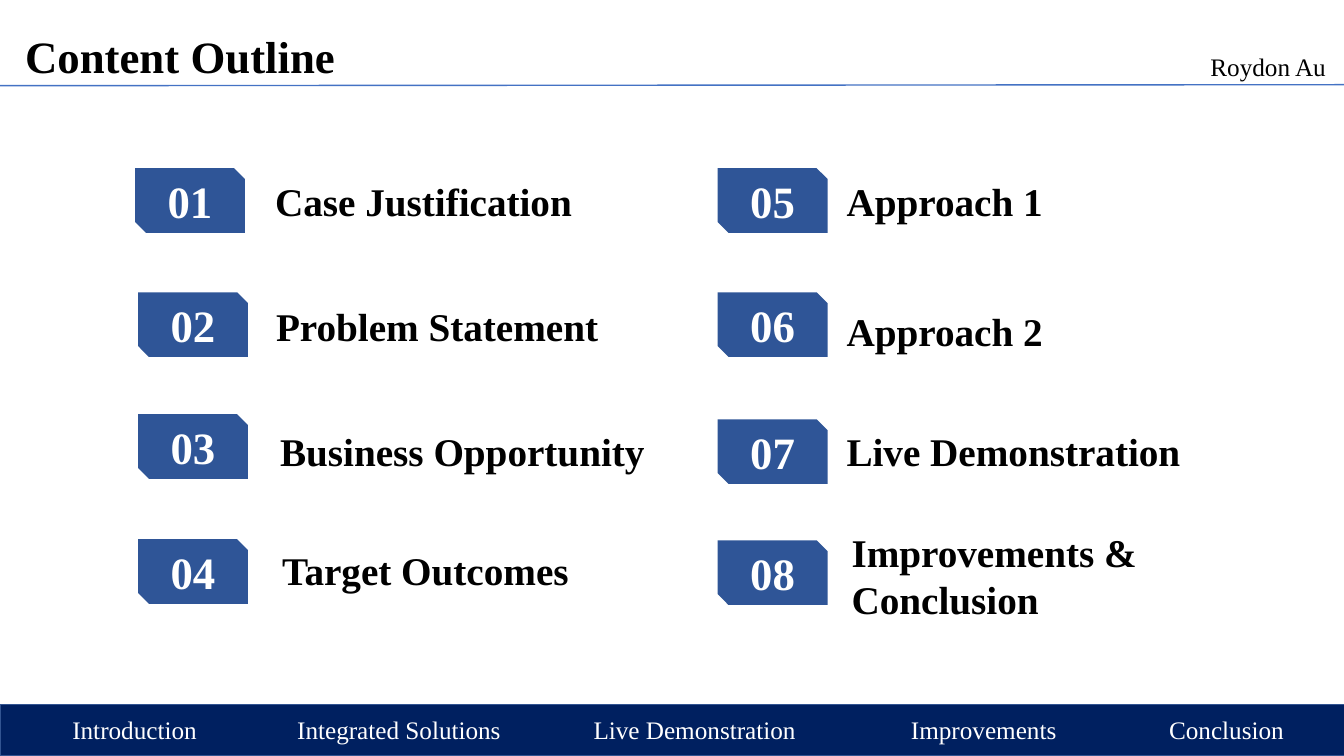
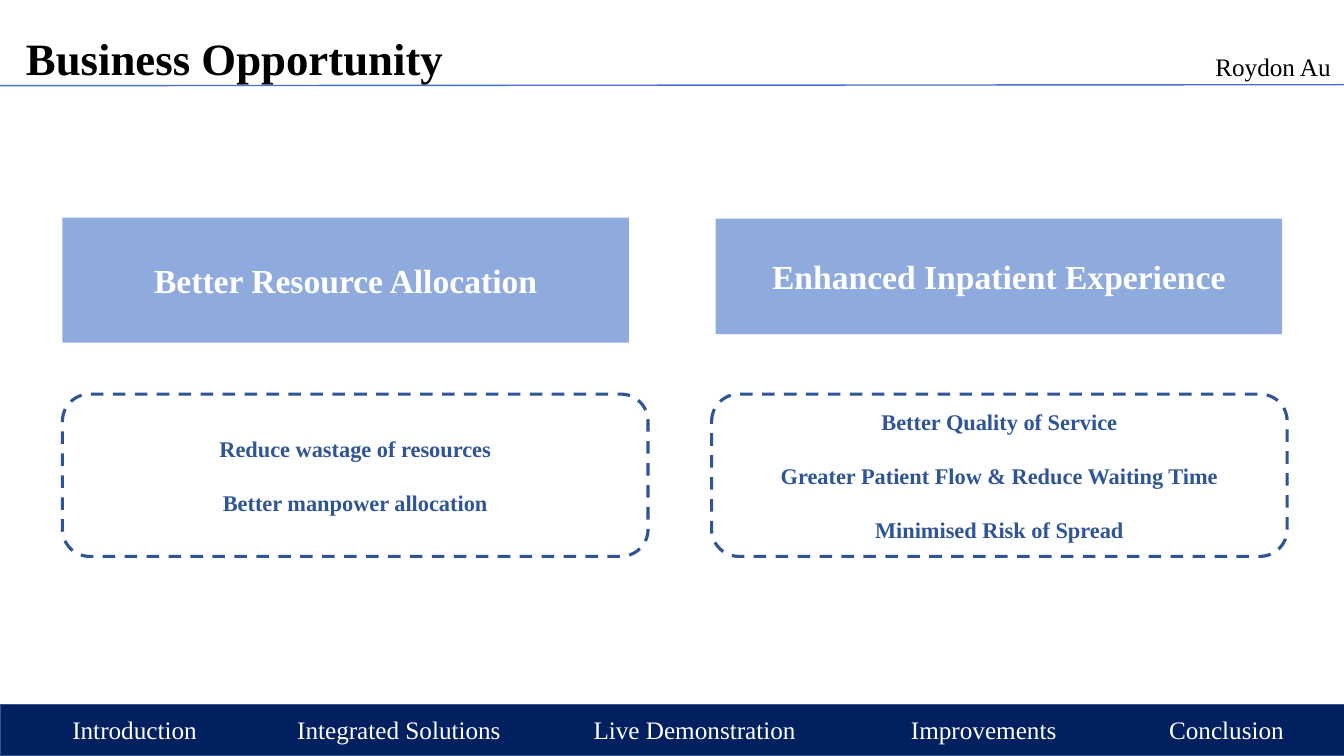
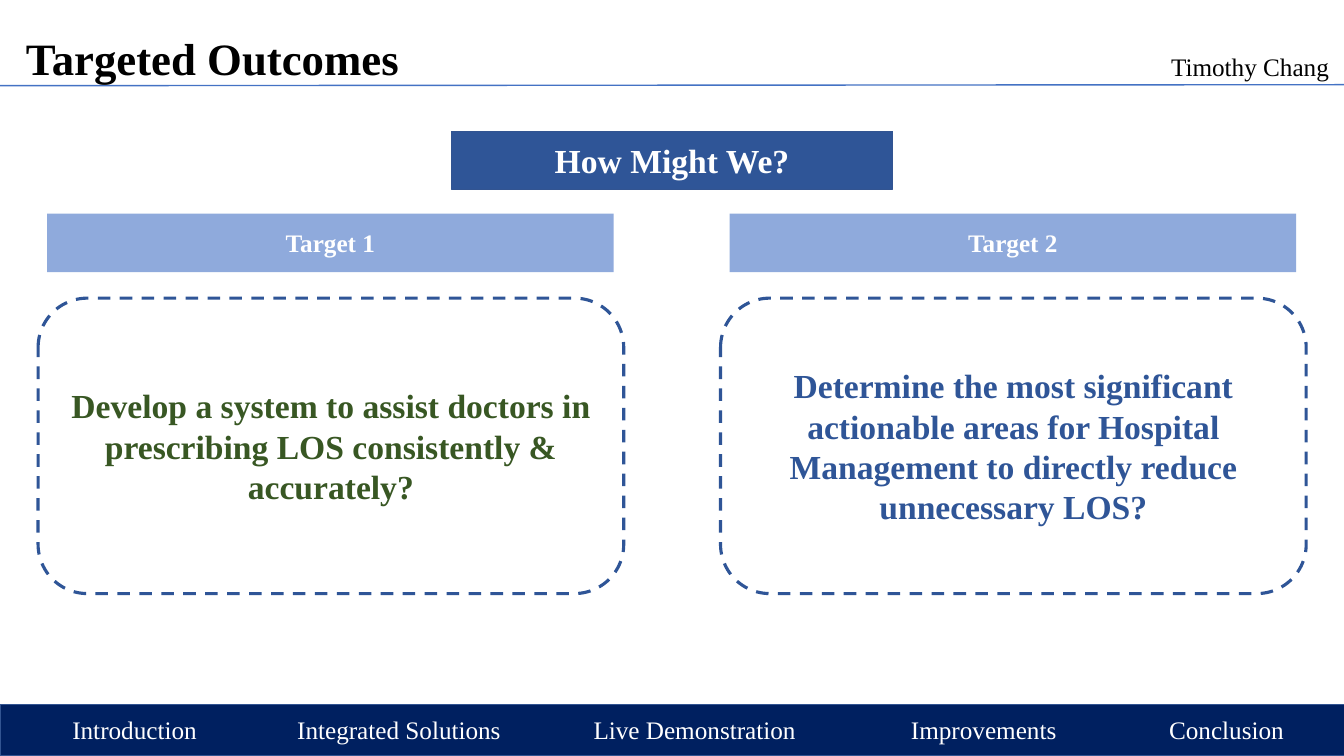
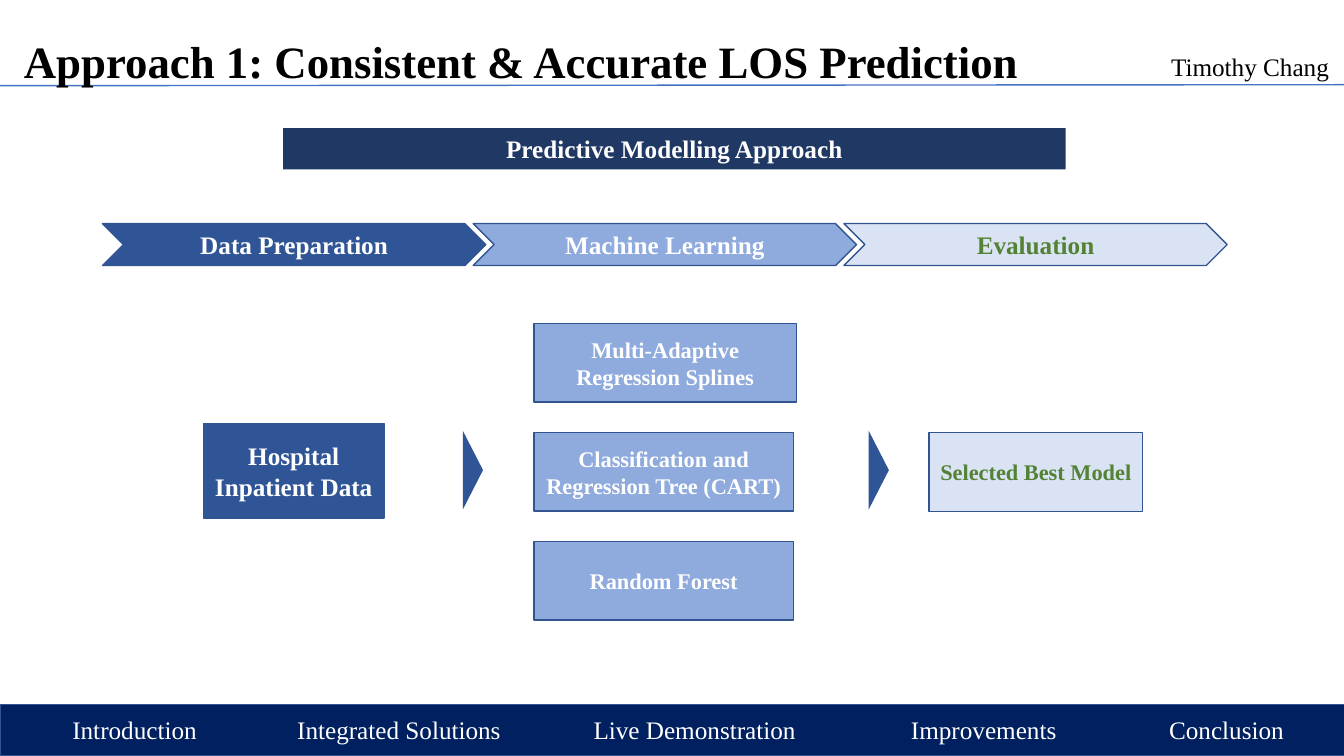
from dataclasses import dataclass
from typing import NamedTuple, Optional

from pptx import Presentation
from pptx.dml.color import RGBColor
from pptx.enum.dml import MSO_LINE_DASH_STYLE as Dash
from pptx.enum.shapes import MSO_CONNECTOR as Connector, MSO_SHAPE as Shape
from pptx.enum.text import MSO_ANCHOR as Anchor, PP_ALIGN as Align
from pptx.oxml.ns import qn
from pptx.util import Pt

# Shared look
WHITE = RGBColor(0xFF, 0xFF, 0xFF)
BLACK = RGBColor(0x00, 0x00, 0x00)
NAVY = RGBColor(0x00, 0x20, 0x60)
DEEP = RGBColor(0x20, 0x38, 0x64)
BLUE = RGBColor(0x2F, 0x55, 0x97)
EDGE = RGBColor(0x32, 0x54, 0x91)
RULE = RGBColor(0x44, 0x72, 0xC4)
SKY = RGBColor(0x8F, 0xAA, 0xDC)
PALE = RGBColor(0xDA, 0xE3, 0xF3)
GREEN = RGBColor(0x54, 0x82, 0x35)
DARK_GREEN = RGBColor(0x38, 0x57, 0x23)
FONT = "Times New Roman"
WIDTH, HEIGHT = 960, 540


class Box(NamedTuple):
    """Left, top, width and height in points."""
    x: float
    y: float
    w: float
    h: float

    def pt(self) -> list:
        return [Pt(v) for v in self]


@dataclass
class Style:
    size: float = 18
    color: RGBColor = WHITE
    bold: bool = True
    align: Align = Align.CENTER
    anchor: Anchor = Anchor.MIDDLE
    spacing: float = 1.0
    gap: float = 0
    inset: float = 3.6


@dataclass
class Block:
    box: Box
    text: str
    fill: RGBColor
    style: Style
    kind: Shape = Shape.RECTANGLE
    line: Optional[RGBColor] = None
    width: float = 1
    dash: Optional[Dash] = None
    rotation: float = 0


class Entry(NamedTuple):
    """Outline entry with the corners of its badge and its label."""
    label: str
    badge_x: float
    badge_y: float
    label_x: float
    label_y: float
    label_w: float


class NavItem(NamedTuple):
    text: str
    x: float
    width: float


TITLE = Style(32, BLACK, align=Align.LEFT, spacing=0.9)
SPEAKER = Style(18, BLACK, False, Align.LEFT, Anchor.TOP)
NAV = Style(18, WHITE, False, Align.LEFT, Anchor.TOP)
LABEL = Style(28, BLACK, align=Align.LEFT, anchor=Anchor.TOP, inset=7.2)
BADGE = Style(32, inset=7.2)
HEADING = Style(24)
CAPTION = Style(18)
SMALL = Style(16)
POINTS = Style(16, BLUE, gap=19.3)

NAV_ITEMS = [NavItem("Introduction", 44.6, 119),
             NavItem("Integrated Solutions", 205.2, 164),
             NavItem("Live Demonstration", 416.9, 163),
             NavItem("Improvements", 643.6, 132),
             NavItem("Conclusion", 828, 132)]


# Drawing helpers
def write(shape, text: str, style: Style) -> None:
    tf = shape.text_frame
    frame = {"word_wrap": True, "vertical_anchor": style.anchor,
             "margin_left": Pt(7.2), "margin_right": Pt(7.2),
             "margin_top": Pt(style.inset), "margin_bottom": Pt(style.inset)}
    for key, value in frame.items():
        setattr(tf, key, value)
    for i, part in enumerate(text.split("\n")):
        p = tf.add_paragraph() if i else tf.paragraphs[0]
        p.alignment = style.align
        p.line_spacing = style.spacing
        if i:
            p.space_before = Pt(style.gap)
        r = p.add_run()
        r.text = part
        font = {"name": FONT, "size": Pt(style.size), "bold": style.bold}
        for key, value in font.items():
            setattr(r.font, key, value)
        r.font.color.rgb = style.color


def add_text(s, box: Box, text: str, style: Style) -> None:
    write(s.shapes.add_textbox(*box.pt()), text, style)


def add_block(s, block: Block) -> None:
    sp = s.shapes.add_shape(block.kind, *block.box.pt())
    sp.shadow.inherit = False
    sp.rotation = block.rotation
    sp.fill.solid()
    sp.fill.fore_color.rgb = block.fill
    if block.line is None:
        sp.line.fill.background()
    else:
        sp.line.color.rgb = block.line
        sp.line.width = Pt(block.width)
        if block.dash is not None:
            sp.line.dash_style = block.dash
    if block.text:
        write(sp, block.text, block.style)


def add_frame(s, box: Box, text: str, style: Style) -> None:
    """Rounded white panel with a dashed outline."""
    add_block(s, Block(box, text, WHITE, style, Shape.ROUNDED_RECTANGLE,
                       BLUE, 2.25, Dash.DASH))


def add_process(s, box: Box, text: str, fill: RGBColor, style: Style) -> None:
    add_block(s, Block(box, text, fill, style,
                       Shape.FLOWCHART_PROCESS, EDGE))


def add_base(prs, title: str, title_box: Box, speaker: str, speaker_x: float):
    """Slide with title, speaker, header rule and navigation footer."""
    s = prs.slides.add_slide(prs.slide_layouts[6])
    add_process(s, Box(0, 503.3, 964, 36.7), "", NAVY, NAV)
    for item in NAV_ITEMS:
        add_text(s, Box(item.x, 507, item.width, 29), item.text, NAV)
    rule = s.shapes.add_connector(Connector.STRAIGHT, Pt(0), Pt(61.2),
                                  Pt(WIDTH), Pt(60.5))
    rule.line.color.rgb = RULE
    rule.line.width = Pt(1)
    pr = rule._element.spPr
    pr.append(pr.makeelement(qn("a:effectLst"), {}))
    add_text(s, title_box, title, TITLE)
    add_text(s, Box(speaker_x, 33.1, WIDTH - speaker_x, 29), speaker, SPEAKER)
    return s


# Slides
def outline_slide(prs) -> None:
    s = add_base(prs, "Content Outline", Box(10.8, 17.3, 828, 49),
                 "Roydon Au", 857.5)
    entries = [
        Entry("Case Justification", 96.5, 120.2, 189.4, 119.5, 269),
        Entry("Problem Statement", 98.6, 208.8, 190.1, 208.8, 269),
        Entry("Business Opportunity", 98.6, 295.9, 193, 298.1, 277),
        Entry("Target Outcomes", 98.6, 385.2, 194.4, 383, 277),
        Entry("Approach 1", 512.6, 120.2, 597.6, 119.5, 316),
        Entry("Approach 2", 512.6, 208.8, 597.6, 212.4, 316),
        Entry("Live Demonstration", 512.6, 299.5, 597.6, 298.1, 316),
        Entry("Improvements & Conclusion", 512.6, 386, 601.2, 370.1, 329),
    ]
    for number, e in enumerate(entries, 1):
        add_block(s, Block(Box(e.badge_x, e.badge_y, 78.5, 46.1),
                           f"{number:02d}", BLUE, BADGE,
                           Shape.SNIP_2_DIAG_RECTANGLE))
        add_text(s, Box(e.label_x, e.label_y, e.label_w, 48), e.label, LABEL)


def opportunity_slide(prs) -> None:
    s = add_base(prs, "Business Opportunity", Box(11.5, 18.7, 828, 49),
                 "Roydon Au", 861)
    add_frame(s, Box(44.6, 281.5, 418.3, 115.9),
              "Reduce wastage of resources\nBetter manpower allocation",
              POINTS)
    add_frame(s, Box(508.3, 281.5, 411.1, 115.9),
              "Better Quality of Service\n"
              "Greater Patient Flow & Reduce Waiting Time\n"
              "Minimised Risk of Spread", POINTS)
    for box, text in [
            (Box(44.6, 155.5, 404.6, 89.3), "Better Resource Allocation"),
            (Box(511.2, 156.2, 404.6, 82.5), "Enhanced Inpatient Experience")]:
        add_block(s, Block(box, text, SKY, HEADING))


def targets_slide(prs) -> None:
    s = add_base(prs, "Targeted Outcomes", Box(11.5, 18.7, 828, 49),
                 "Timothy Chang", 829.4)
    targets = [
        ("Develop a system to assist doctors in prescribing LOS "
         "consistently & accurately?", DARK_GREEN),
        ("Determine the most significant actionable areas for Hospital "
         "Management to directly reduce unnecessary LOS?", BLUE),
    ]
    for i, (text, color) in enumerate(targets):
        shift = i * 487.5
        add_frame(s, Box(27.2 + shift, 213, 418.3, 211), text,
                  Style(24, color))
        add_block(s, Block(Box(33.7 + shift, 152.6, 404.6, 41.8),
                           f"Target {i + 1}", SKY, CAPTION))
    add_process(s, Box(322.5, 93.8, 315, 41.5), "How Might We?", BLUE,
                HEADING)


def approach_slide(prs) -> None:
    s = add_base(prs, "Approach 1: Consistent & Accurate LOS Prediction",
                 Box(10, 20, 828, 51.8), "Timothy Chang", 829.4)
    green_caption, green_small = Style(18, GREEN), Style(16, GREEN)
    add_block(s, Block(Box(202.2, 91.6, 559, 29.5),
                       "Predictive Modelling Approach", DEEP, CAPTION))

    # Stages
    stages = [("Data Preparation", BLUE, CAPTION),
              ("Machine Learning", SKY, CAPTION),
              ("Evaluation", PALE, green_caption)]
    for i, (text, fill, style) in enumerate(stages):
        add_block(s, Block(Box(73.2 + i * 264.8, 159.7, 273.8, 30), text,
                           fill, style, Shape.CHEVRON, EDGE))

    # Data, models and result
    add_process(s, Box(145.3, 302.6, 129, 67.5), "Hospital Inpatient Data",
                BLUE, CAPTION)
    models = [("Multi-Adaptive Regression Splines", 187.5),
              ("Classification and Regression Tree (CART)", 185.3),
              ("Random Forest", 185.3)]
    for i, (text, width) in enumerate(models):
        add_process(s, Box(381.4, 231 + i * 77.8, width, 56.2), text, SKY,
                    SMALL)
    add_process(s, Box(663.6, 309, 152.6, 56.2), "Selected Best Model", PALE,
                green_small)
    for x in (309.7, 599.6):
        add_block(s, Block(Box(x, 328.6, 56.2, 14.4), "", BLUE, SMALL,
                           Shape.ISOSCELES_TRIANGLE, rotation=90))


def main() -> None:
    prs = Presentation()
    prs.slide_width, prs.slide_height = Pt(WIDTH), Pt(HEIGHT)
    for build in (outline_slide, opportunity_slide, targets_slide,
                  approach_slide):
        build(prs)
    prs.save("out.pptx")


if __name__ == "__main__":
    main()
